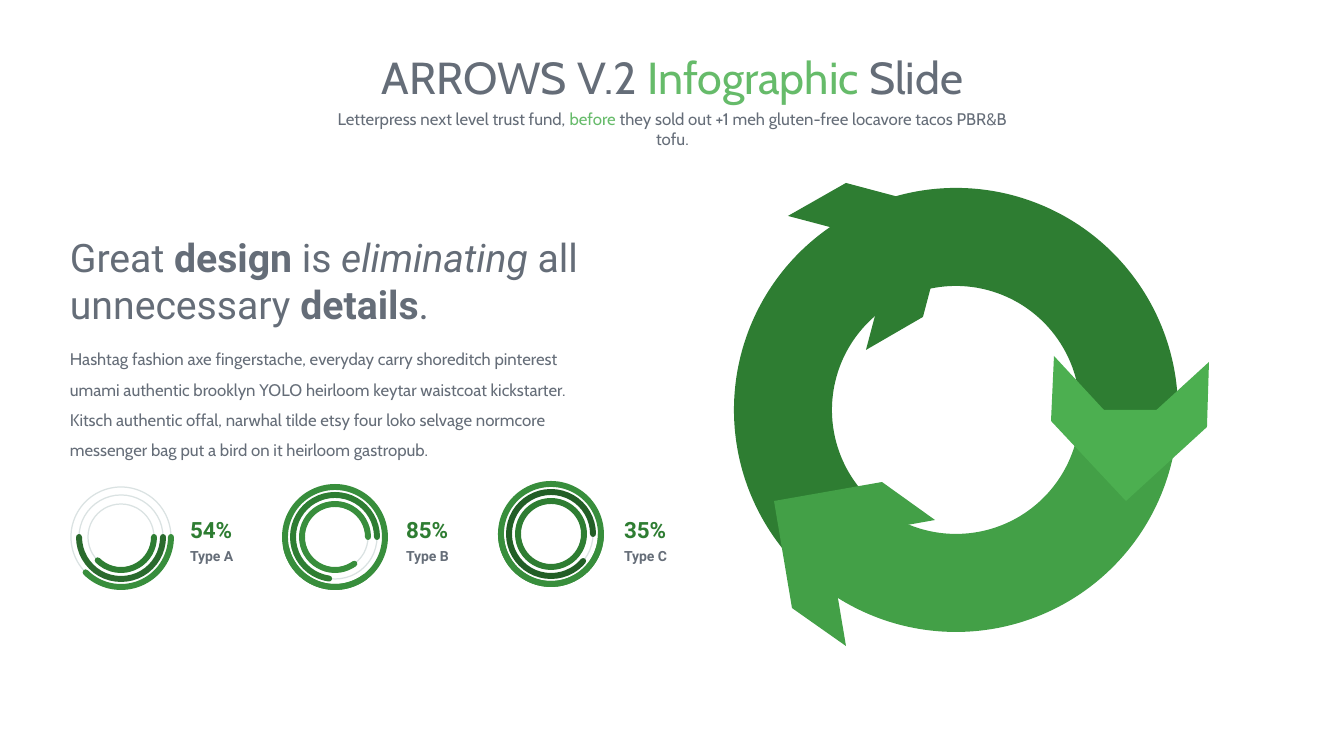
"""Build the circular arrows infographic slide with three ring gauges."""
from lxml import etree
from pptx import Presentation
from pptx import util as u
from pptx.dml.color import RGBColor
from pptx.enum import shapes, text

EMU_PER_PX = 914400 / 100.8
SLATE = RGBColor(0x65, 0x6D, 0x78)
ACCENT = RGBColor(0x66, 0xBB, 0x6A)
LIGHT = RGBColor(0x4C, 0xAF, 0x50)
MEDIUM = RGBColor(0x43, 0xA0, 0x47)
LEAF = RGBColor(0x38, 0x8E, 0x3C)
DARK = RGBColor(0x2E, 0x7D, 0x32)
DEEP = RGBColor(0x2A, 0x6A, 0x2D)
DEEPEST = RGBColor(0x22, 0x5E, 0x26)
TRACK = RGBColor(0xDA, 0xE2, 0xE2)

TITLE = [("ARROWS V.2 ", {}), ("Infographic ", {"color": ACCENT}), ("Slide", {})]
SUBTITLE = [
    ("Letterpress next level trust fund, ", {}),
    ("before", {"color": ACCENT}),
    (" they sold out +1 meh gluten-free locavore tacos PBR&B tofu.", {}),
]
HEADING = [
    ("Great ", {}), ("design", {"bold": True}), (" is ", {}),
    ("eliminating", {"italic": True}), (" all unnecessary ", {}),
    ("details", {"bold": True}), (".", {}),
]
BODY = [(
    "Hashtag fashion axe fingerstache, everyday carry shoreditch pinterest "
    "umami authentic brooklyn YOLO heirloom keytar waistcoat kickstarter. "
    "Kitsch authentic offal, narwhal tilde etsy four loko selvage normcore "
    "messenger bag put a bird on it heirloom gastropub.", {})]

RING_CENTER, RING_OUTER, RING_INNER = (956, 410), 222, 124
ARROWS = [
    (135, 255, DARK,
     [(866, 350), (894, 244), (788, 216), (846, 183), (951, 211), (923, 317)]),
    (12, 135, MEDIUM,
     [(935, 520), (828, 539), (846, 646), (792, 608), (774, 501), (882, 482)]),
    (255, 12, LIGHT,
     [(1054, 356), (1128, 436), (1209, 362), (1207, 427), (1126, 501), (1051, 421)]),
]

OUTER, MIDDLE, INNER = GAUGE_RADII = (50, 42, 33)
GAUGES = [
    ("54%", "Type A", (121, 537), 190, [
        (OUTER, 270, 135, LEAF), (MIDDLE, 315, 180, DEEP), (INNER, 270, 135, DARK)]),
    ("85%", "Type B", (335, 537), 406, [
        (OUTER, 188, 278, LEAF), (OUTER, 53, 167, LEAF),
        (MIDDLE, 98, 324, DARK), (INNER, 54, 279, LEAF)]),
    ("35%", "Type C", (551, 534), 624, [
        (OUTER, 197, 220, LEAF), (OUTER, 355, 175, LEAF),
        (MIDDLE, 40, 265, DEEPEST), (INNER, 355, 220, DARK)]),
]


def px(value):
    return u.Emu(round(value * EMU_PER_PX))


def paint(shape, fill=None, line=None, width=0):
    shape.shadow.inherit = False
    for part, color in ((shape.fill, fill), (shape.line.fill, line)):
        if color is None:
            part.background()
        else:
            part.solid()
            part.fore_color.rgb = color
    if line is not None:
        shape.line.width = u.Pt(width)


def add_round(slide, kind, center, radius, angles=(), **style):
    shape = slide.shapes.add_shape(
        kind, px(center[0] - radius), px(center[1] - radius),
        px(2 * radius), px(2 * radius))
    for index, degrees in enumerate(angles):
        shape.adjustments[index] = (degrees if degrees <= 180 else degrees - 360) * 0.6
    paint(shape, **style)
    return shape


def add_arrow_body(slide, start, end, color):
    body = add_round(slide, shapes.MSO_SHAPE.BLOCK_ARC, RING_CENTER, RING_OUTER,
                     (start, end), fill=color)
    body.adjustments[2] = (RING_OUTER - RING_INNER) / (2 * RING_OUTER)


def add_arrow_head(slide, points, color):
    first, *rest = [(px(x), px(y)) for x, y in points]
    builder = slide.shapes.build_freeform(*first)
    builder.add_line_segments(rest, close=True)
    paint(builder.convert_to_shape(), fill=color)


def add_text(slide, runs, box, size, font="Roboto", color=SLATE, bold=False,
             align=text.PP_ALIGN.LEFT, spacing=1.0, inset=True):
    frame = slide.shapes.add_textbox(*map(px, box)).text_frame
    frame.word_wrap = True
    if not inset:
        frame.margin_left = frame.margin_right = 0
        frame.margin_top = frame.margin_bottom = 0
    paragraph = frame.paragraphs[0]
    paragraph.alignment = align
    paragraph.line_spacing = spacing
    for words, style in runs:
        run = paragraph.add_run()
        run.text = words
        run.font.name = font
        run.font.size = u.Pt(size)
        run.font.bold = style.get("bold", bold)
        run.font.italic = style.get("italic", False)
        run.font.color.rgb = style.get("color", color)


def add_gauge(slide, percent, label, center, label_left, arcs):
    for radius in GAUGE_RADII:
        add_round(slide, shapes.MSO_SHAPE.OVAL, center, radius, line=TRACK, width=0.88)
    for radius, start, end, color in arcs:
        stroke = add_round(slide, shapes.MSO_SHAPE.ARC, center, radius, (start, end),
                           line=color, width=4.25)
        line = stroke.line.fill._xPr
        line.set("cap", "rnd")
        etree.SubElement(line, line.tag.replace("}ln", "}round"))
    label_format = {"bold": True, "spacing": 0.9, "inset": False}
    add_text(slide, [(percent, {})], (label_left, 519, 49, 29), 16, color=DARK,
             **label_format)
    add_text(slide, [(label, {})], (label_left, 549, 49, 23), 10, **label_format)


def main():
    presentation = Presentation()
    presentation.slide_width, presentation.slide_height = px(1344), px(756)
    slide = presentation.slides.add_slide(presentation.slide_layouts[6])
    center = text.PP_ALIGN.CENTER
    add_text(slide, TITLE, (256, 45, 833, 65), 32, font="Cabin", align=center)
    add_text(slide, SUBTITLE, (322, 104, 701, 30), 12, font="Cabin", align=center)
    for start, end, color, _ in ARROWS:
        add_arrow_body(slide, start, end, color)
    for _, _, color, points in ARROWS:
        add_arrow_head(slide, points, color)
    add_text(slide, HEADING, (60, 228, 550, 105), 28)
    add_text(slide, BODY, (60, 334, 536, 132), 12, font="Cabin", spacing=1.5)
    for gauge in GAUGES:
        add_gauge(slide, *gauge)
    presentation.save("out.pptx")


if __name__ == "__main__":
    main()
